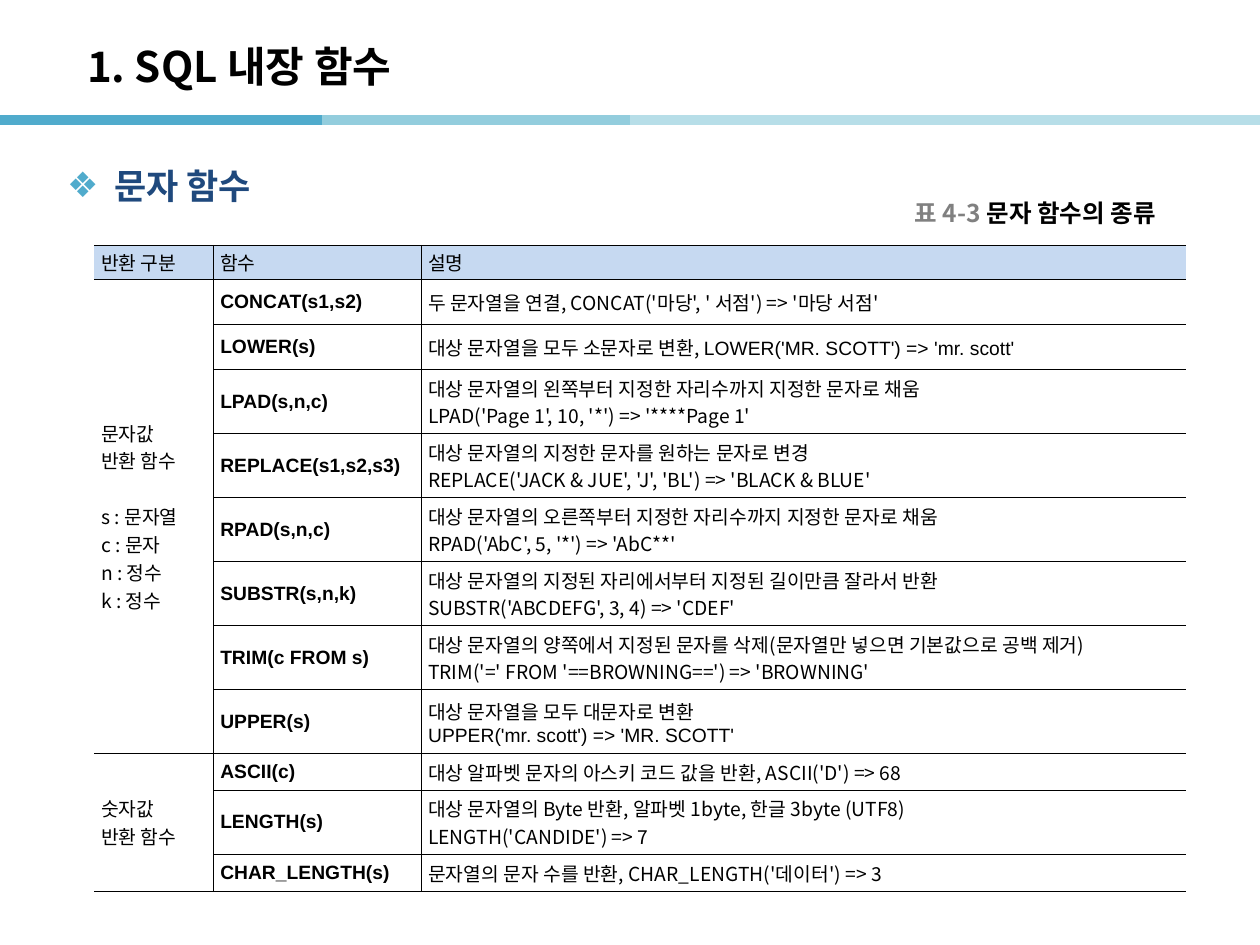
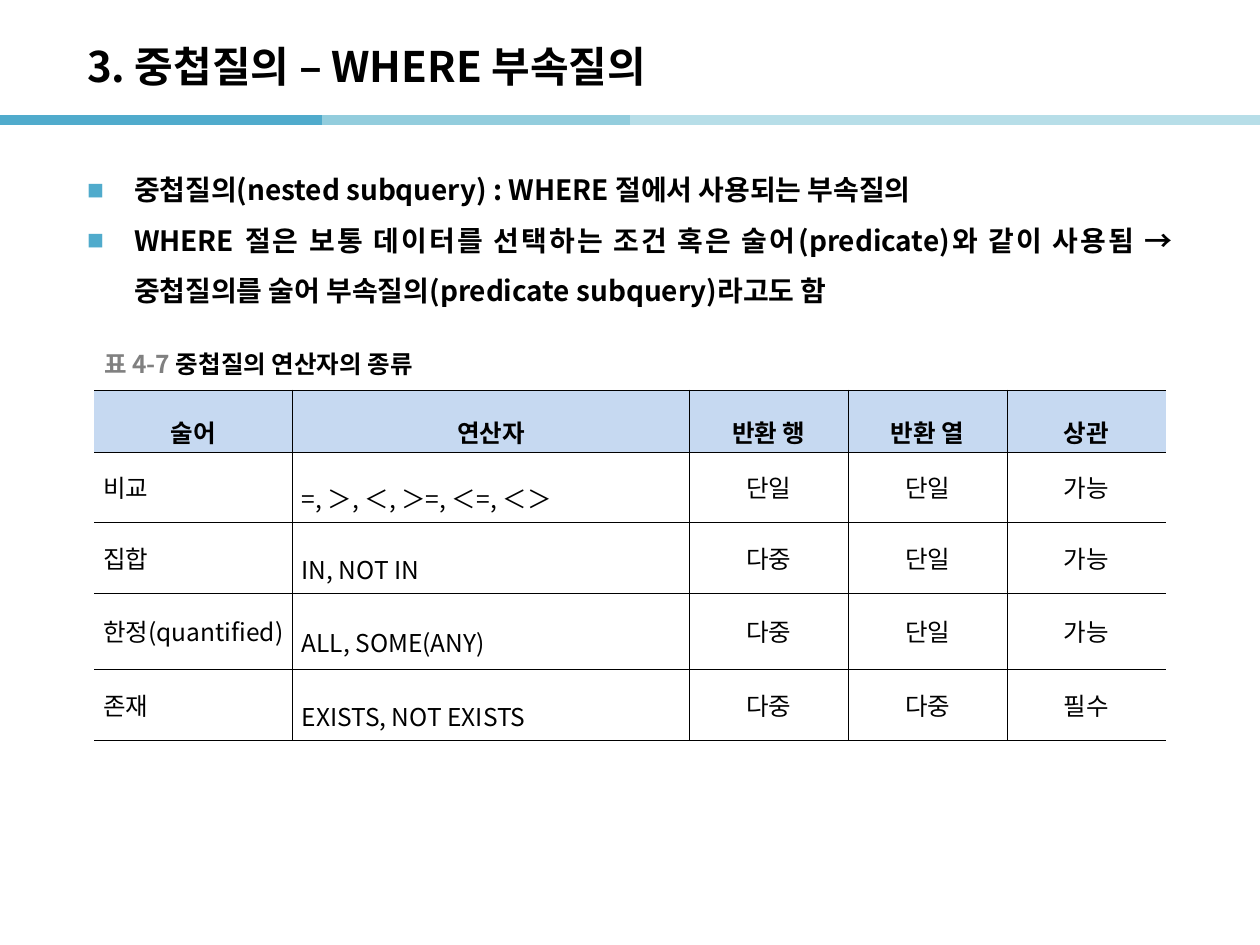
import pptx
import pptx.dml.color
import pptx.enum.shapes
import pptx.enum.text
import pptx.oxml.ns
import pptx.util
from lxml import etree

Cm = pptx.util.Cm
Pt = pptx.util.Pt
ALIGN = pptx.enum.text.PP_ALIGN
MIDDLE = pptx.enum.text.MSO_ANCHOR.MIDDLE
qn = pptx.oxml.ns.qn

COLORS = {
    "band_dark": "50ABCC",
    "band_mid": "93CDDD",
    "band_light": "B7DEE8",
    "text": "000000",
    "heading": "1F497D",
    "caption_number": "808080",
    "header_fill": "C6D9F1",
}
KOREAN = "Noto Sans CJK KR"
LATIN = "Arial"

BAND_Y = 2.42
BAND_LENGTH = 6.5
BANDS = [(0, "band_dark"), (6.5, "band_mid"), (12.7, "band_light"), (18.9, "band_light")]

STRING_FUNCTIONS = [
    ("CONCAT(s1,s2)", "두 문자열을 연결, CONCAT('마당', ' 서점') => '마당 서점'"),
    ("LOWER(s)", "대상 문자열을 모두 소문자로 변환, |LOWER('MR. SCOTT') => 'mr. scott'"),
    ("LPAD(s,n,c)", "대상 문자열의 왼쪽부터 지정한 자리수까지 지정한 문자로 채움\n"
     "LPAD('Page 1', 10, '*') => '****Page 1'"),
    ("REPLACE(s1,s2,s3)", "대상 문자열의 지정한 문자를 원하는 문자로 변경\n"
     "REPLACE('JACK & JUE', 'J', 'BL') => 'BLACK & BLUE'"),
    ("RPAD(s,n,c)", "대상 문자열의 오른쪽부터 지정한 자리수까지 지정한 문자로 채움\n"
     "RPAD('AbC', 5, '*') => 'AbC**'"),
    ("SUBSTR(s,n,k)", "대상 문자열의 지정된 자리에서부터 지정된 길이만큼 잘라서 반환\n"
     "SUBSTR('ABCDEFG', 3, 4) => 'CDEF'"),
    ("TRIM(c FROM s)",
     "대상 문자열의 양쪽에서 지정된 문자를 삭제(문자열만 넣으면 기본값으로 공백 제거)\n"
     "TRIM('=' FROM '==BROWNING==') => 'BROWNING'"),
    ("UPPER(s)", "대상 문자열을 모두 대문자로 변환\n|UPPER('mr. scott') => 'MR. SCOTT'"),
]
NUMBER_FUNCTIONS = [
    ("ASCII(c)", "대상 알파벳 문자의 아스키 코드 값을 반환, ASCII('D') => 68"),
    ("LENGTH(s)", "대상 문자열의 Byte 반환, 알파벳 1byte, 한글 3byte (UTF8)\n"
     "LENGTH('CANDIDE') => 7"),
    ("CHAR_LENGTH(s)", "문자열의 문자 수를 반환, CHAR_LENGTH('데이터') => 3"),
]
FUNCTION_GROUPS = [
    ("문자값\n반환 함수\ns : 문자열\nc : 문자\nn : 정수\nk : 정수", STRING_FUNCTIONS),
    ("숫자값\n반환 함수", NUMBER_FUNCTIONS),
]
FUNCTION_COLUMNS = [2.4, 4.19, 15.42]
FUNCTION_ROWS = [0.69, 0.91, 0.91] + [1.29] * 6 + [0.74, 1.29, 0.74]

OPERATORS = [
    ("술어", "연산자", "반환 행", "반환 열", "상관"),
    ("비교", "=, ＞, ＜, ＞=, ＜=, ＜＞", "단일", "단일", "가능"),
    ("집합", "IN, NOT IN", "다중", "단일", "가능"),
    ("한정(quantified)", "ALL, SOME(ANY)", "다중", "단일", "가능"),
    ("존재", "EXISTS, NOT EXISTS", "다중", "다중", "필수"),
]
OPERATOR_COLUMNS = [4, 8, 3.2, 3.2, 3.2]
OPERATOR_ROWS = [1.17] + [1.42] * 4


def rgb(name):
    return pptx.dml.color.RGBColor.from_string(COLORS[name])


def format_run(run, size, color="text", bold=False, face=KOREAN):
    run.font.size = Pt(size)
    run.font.bold = bold
    run.font.name = face
    run.font.color.rgb = rgb(color)
    latin = run.font._element.find(qn("a:latin"))
    east_asian = etree.Element(qn("a:ea"), typeface=KOREAN)
    latin.addnext(east_asian)


def place(shape, left, top, width, height):
    shape.left, shape.top = Cm(left), Cm(top)
    shape.width, shape.height = Cm(width), Cm(height)


def add_bands(slide):
    for start, color in BANDS:
        band = slide.shapes.add_connector(
            pptx.enum.shapes.MSO_CONNECTOR.STRAIGHT,
            Cm(start), Cm(BAND_Y), Cm(start + BAND_LENGTH), Cm(BAND_Y))
        band.line.color.rgb = rgb(color)
        band.line.width = Pt(6)
        etree.SubElement(band._element.spPr, qn("a:effectLst"))


def add_titled_slide(deck, title):
    slide = deck.slides.add_slide(deck.slide_layouts[1])
    add_bands(slide)
    heading = slide.shapes.title
    place(heading, 1.5, 0.56, 21, 1.52)
    frame = heading.text_frame
    frame.text = title
    frame.auto_size = pptx.enum.text.MSO_AUTO_SIZE.NONE
    frame.vertical_anchor = MIDDLE
    frame.paragraphs[0].alignment = ALIGN.LEFT
    format_run(frame.paragraphs[0].runs[0], 24, bold=True)
    return slide


def set_bullet(paragraph, symbol):
    properties = paragraph._p.get_or_add_pPr()
    properties.set("marL", str(Cm(0.95)))
    properties.set("indent", str(-Cm(0.95)))
    bullet_color = etree.SubElement(properties, qn("a:buClr"))
    etree.SubElement(bullet_color, qn("a:srgbClr"), val=COLORS["band_dark"])
    etree.SubElement(properties, qn("a:buChar"), char=symbol)


def fill_bullets(slide, box, items, symbol, size, color="text", spacing=1.0,
                 alignment=ALIGN.LEFT):
    body = slide.placeholders[1]
    place(body, *box)
    frame = body.text_frame
    frame.text = "\n".join(items)
    frame.auto_size = pptx.enum.text.MSO_AUTO_SIZE.NONE
    for paragraph in frame.paragraphs:
        paragraph.alignment = alignment
        paragraph.line_spacing = spacing
        paragraph.space_before = Pt(0)
        set_bullet(paragraph, symbol)
        format_run(paragraph.runs[0], size, color, bold=True)
    return frame


def add_caption(slide, left, top, number, title):
    frame = slide.shapes.add_textbox(Cm(left), Cm(top), Cm(7.2), Cm(0.79)).text_frame
    frame.word_wrap = True
    frame.vertical_anchor = MIDDLE
    for text, color in ((number + " ", "caption_number"), (title, "text")):
        run = frame.paragraphs[0].add_run()
        run.text = text
        format_run(run, 14, color, bold=True)


def set_borders(cell, hidden_sides):
    properties = cell._tc.get_or_add_tcPr()
    for index, side in enumerate("LRTB"):
        border = etree.Element(qn("a:ln" + side), w=str(Pt(0.28)))
        if side in hidden_sides:
            etree.SubElement(border, qn("a:noFill"))
        else:
            fill = etree.SubElement(border, qn("a:solidFill"))
            etree.SubElement(fill, qn("a:srgbClr"), val=COLORS["text"])
        properties.insert(index, border)


def add_grid(slide, left, top, widths, heights, side_margin):
    table = slide.shapes.add_table(
        len(heights), len(widths), Cm(left), Cm(top),
        Cm(sum(widths)), Cm(sum(heights))).table
    table.first_row = table.horz_banding = False
    for column, width in zip(table.columns, widths):
        column.width = Cm(width)
    for row_index, height in enumerate(heights):
        table.rows[row_index].height = Cm(height)
        for column_index in range(len(widths)):
            cell = table.cell(row_index, column_index)
            cell.vertical_anchor = MIDDLE
            cell.margin_left = cell.margin_right = Cm(side_margin)
            cell.margin_top = cell.margin_bottom = Cm(0.05)
            if row_index == 0:
                cell.fill.solid()
                cell.fill.fore_color.rgb = rgb("header_fill")
            else:
                cell.fill.background()
            hidden = "L" if column_index == 0 else ""
            hidden += "R" if column_index == len(widths) - 1 else ""
            set_borders(cell, hidden)
    return table


def write_cell(cell, text, size, alignment, bold=False, face=KOREAN, spacing=None):
    cell.text_frame.text = text.replace("|", "")
    for paragraph, line in zip(cell.text_frame.paragraphs, text.split("\n")):
        paragraph.alignment = alignment
        paragraph.line_spacing = spacing
        explanation, _, example = line.partition("|")
        paragraph.runs[0].text = explanation or example
        format_run(paragraph.runs[0], size, bold=bold, face=face if explanation else LATIN)
        if explanation and example:
            run = paragraph.add_run()
            run.text = example
            format_run(run, size, bold=bold, face=LATIN)


def add_function_table(slide):
    table = add_grid(slide, 1.9, 4.94, FUNCTION_COLUMNS, FUNCTION_ROWS, 0.14)
    for column, label in enumerate(("반환 구분", "함수", "설명")):
        write_cell(table.cell(0, column), label, 11, ALIGN.JUSTIFY)
    row = 1
    for group, functions in FUNCTION_GROUPS:
        group_cell = table.cell(row, 0)
        group_cell.merge(table.cell(row + len(functions) - 1, 0))
        write_cell(group_cell, group, 11, ALIGN.JUSTIFY)
        for signature, description in functions:
            write_cell(table.cell(row, 1), signature, 11, ALIGN.JUSTIFY, True, LATIN)
            write_cell(table.cell(row, 2), description, 11, ALIGN.JUSTIFY)
            row += 1
    legend_start = table.cell(1, 0).text_frame.paragraphs[2]
    legend_start.space_before = Pt(16)


def add_operator_table(slide):
    table = add_grid(slide, 1.9, 7.86, OPERATOR_COLUMNS, OPERATOR_ROWS, 0.18)
    for row, values in enumerate(OPERATORS):
        for column, value in enumerate(values):
            header = row == 0
            centred = header or column > 1
            write_cell(table.cell(row, column), value, 14,
                       ALIGN.CENTER if centred else ALIGN.LEFT, bold=header,
                       spacing=1.6 if header or column == 1 else None)


def main():
    deck = pptx.Presentation()
    deck.slide_width, deck.slide_height = Cm(25.4), Cm(19.05)

    functions = add_titled_slide(deck, "1. SQL 내장 함수")
    heading = fill_bullets(functions, (1.1, 3.02, 22.4, 1.45), ["문자 함수"],
                           "❖", 20, "heading")
    heading.vertical_anchor = MIDDLE
    add_caption(functions, 18.19, 3.89, "표 4-3", "문자 함수의 종류")
    add_function_table(functions)

    subqueries = add_titled_slide(deck, "3. 중첩질의 – WHERE 부속질의")
    fill_bullets(subqueries, (1.5, 3.02, 22.4, 15.19), [
        "중첩질의(nested subquery) : WHERE 절에서 사용되는 부속질의",
        "WHERE 절은 보통 데이터를 선택하는 조건 혹은 술어(predicate)와 같이 사용됨 → "
        "중첩질의를 술어 부속질의(predicate subquery)라고도 함",
    ], "■", 16, spacing=1.5, alignment=ALIGN.JUSTIFY)
    add_operator_table(subqueries)
    add_caption(subqueries, 1.85, 6.93, "표 4-7", "중첩질의 연산자의 종류")

    deck.save("out.pptx")


if __name__ == "__main__":
    main()
